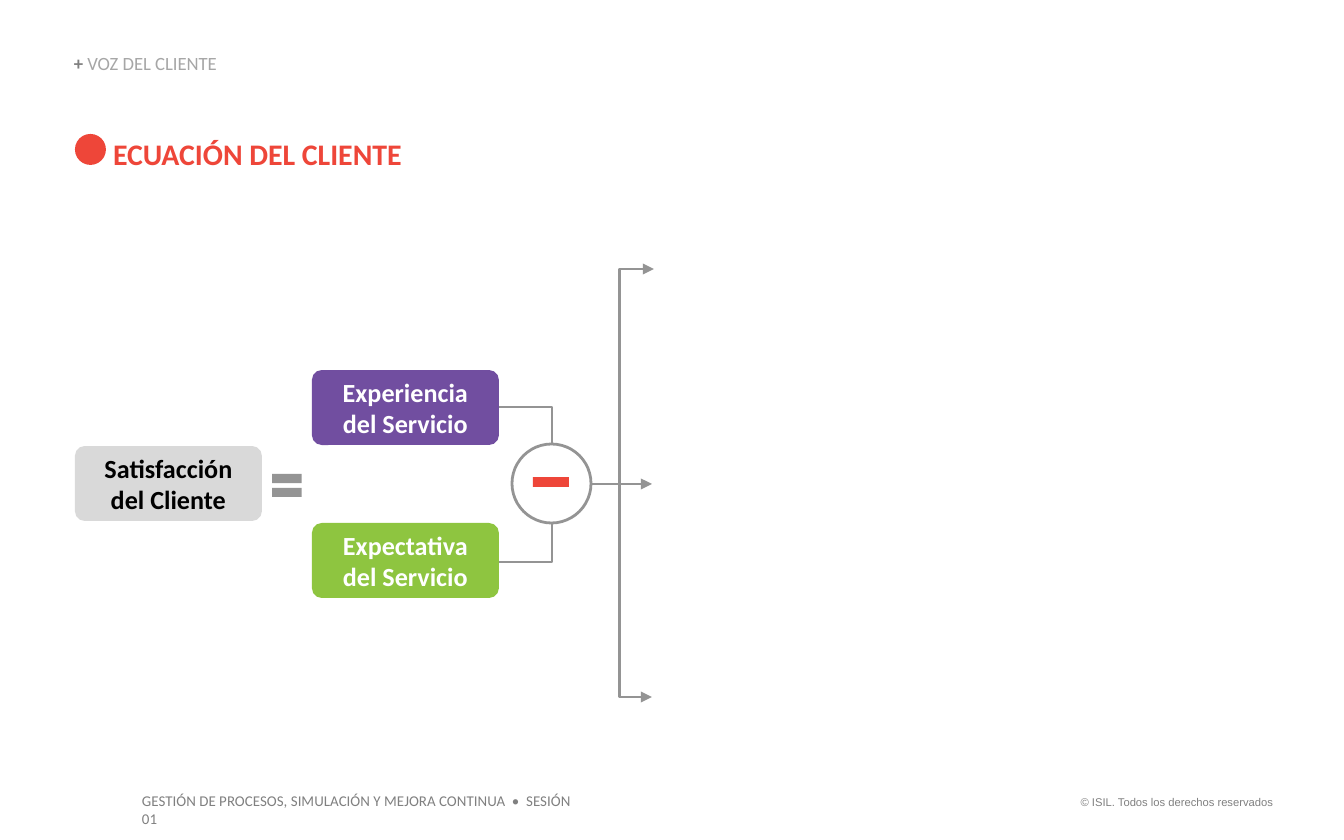
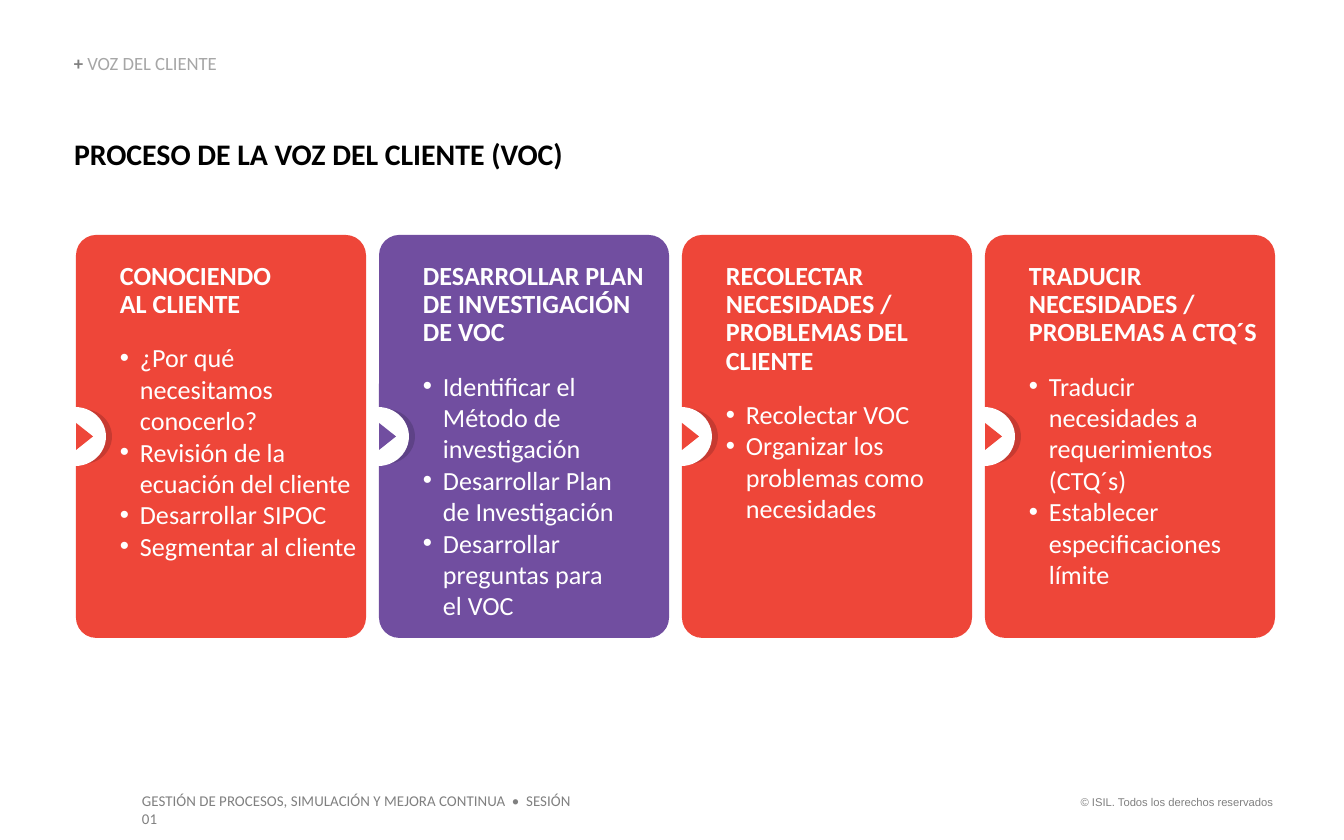
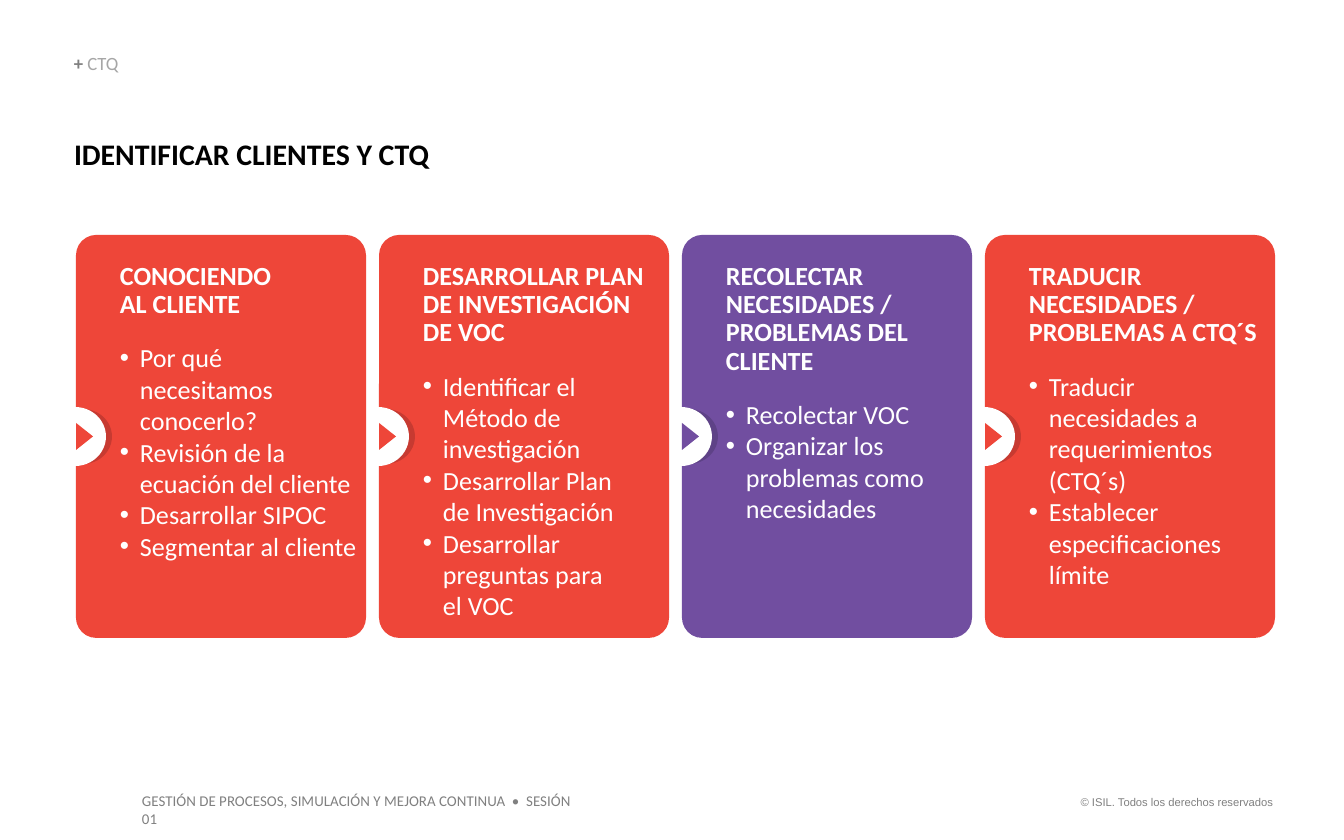
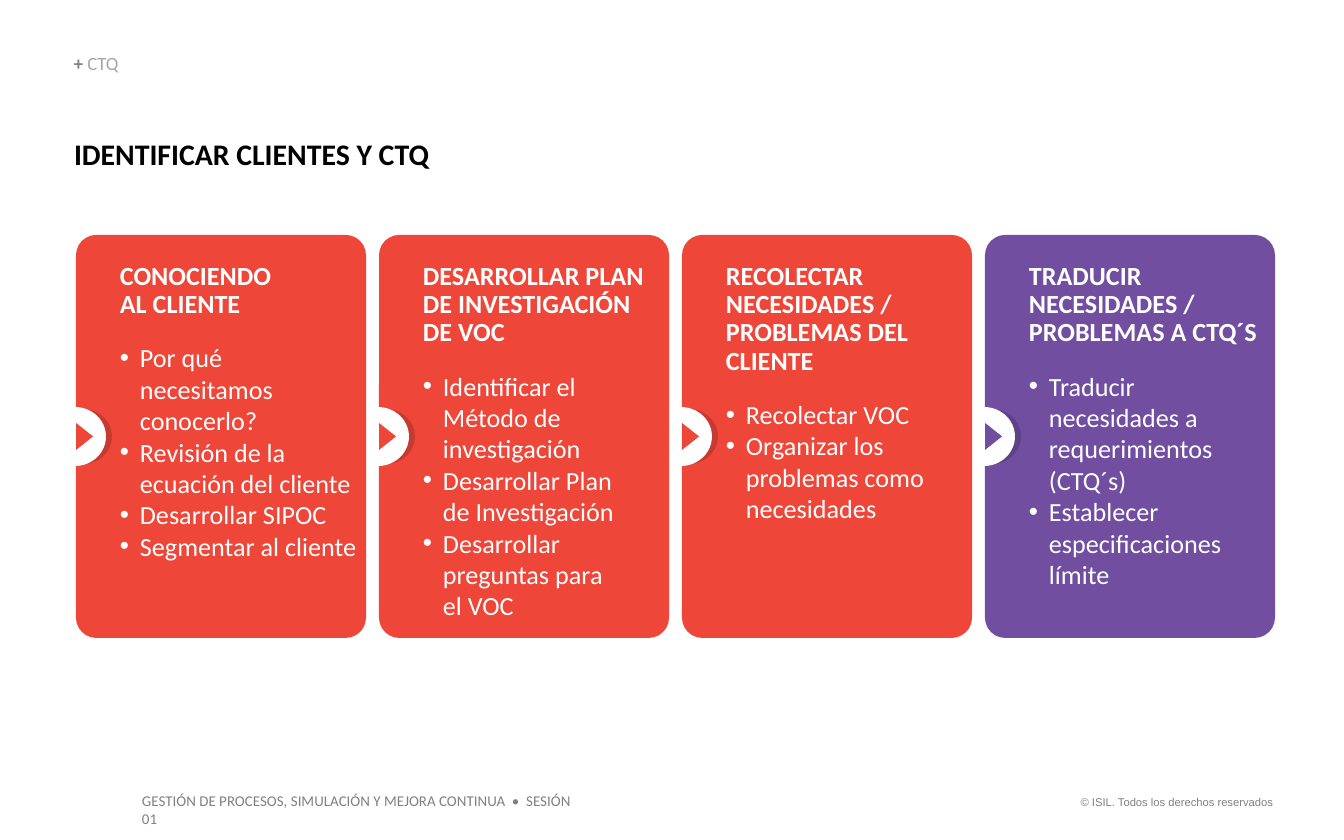
from copy import deepcopy

from lxml import etree
from pptx import Presentation
from pptx.dml.color import RGBColor
from pptx.enum.shapes import MSO_CONNECTOR, MSO_SHAPE
from pptx.enum.text import MSO_ANCHOR, PP_ALIGN
from pptx.oxml.ns import qn
from pptx.util import Pt

ELBOW, STRAIGHT = MSO_CONNECTOR.ELBOW, MSO_CONNECTOR.STRAIGHT
ELLIPSE, RECTANGLE, ROUNDED = MSO_SHAPE.OVAL, MSO_SHAPE.RECTANGLE, MSO_SHAPE.ROUNDED_RECTANGLE
TRIANGLE, EQUAL = MSO_SHAPE.ISOSCELES_TRIANGLE, MSO_SHAPE.MATH_EQUAL
LEFT, CENTER, RIGHT = PP_ALIGN.LEFT, PP_ALIGN.CENTER, PP_ALIGN.RIGHT
TOP, MIDDLE, BOTTOM = MSO_ANCHOR.TOP, MSO_ANCHOR.MIDDLE, MSO_ANCHOR.BOTTOM

RED = RGBColor(0xEE, 0x46, 0x39)
DARK_RED = RGBColor(0xC7, 0x3A, 0x31)
PURPLE = RGBColor(0x71, 0x4E, 0xA0)
DARK_PURPLE = RGBColor(0x5E, 0x42, 0x87)
GREEN = RGBColor(0x8E, 0xC5, 0x40)
LINE_GRAY = RGBColor(0x94, 0x94, 0x94)
BOX_GRAY = RGBColor(0xD9, 0xD9, 0xD9)
TEXT_GRAY = RGBColor(0x80, 0x80, 0x80)
LIGHT_GRAY = RGBColor(0xA6, 0xA6, 0xA6)
BLACK = RGBColor(0, 0, 0)
WHITE = RGBColor(0xFF, 0xFF, 0xFF)

EMU_PER_PX = 914400 / 134.4
NO_INSETS = (0, 0, 0, 0)
BOX_INSETS = (13, 7, 13, 7)
CARD_INSETS = (38, 22, 0, 7)


def add_shape(slide, kind, *place, fill=None, corner=None):
    """Add a preset shape, or a text box if kind is None; place is left, top, width, height in px."""
    place = [round(value * EMU_PER_PX) for value in place]
    if kind is None:
        return slide.shapes.add_textbox(*place)
    shape = slide.shapes.add_shape(kind, *place)
    shape.shadow.inherit = False
    shape.line.fill.background()
    if fill is None:
        shape.fill.background()
    else:
        shape.fill.solid()
        shape.fill.fore_color.rgb = fill
    if corner is not None:
        shape.adjustments[0] = corner
    return shape


def write(shape, text, *, size, color, bold=False, font="Calibri", align=LEFT, anchor=TOP,
          insets=BOX_INSETS, line_spacing=None, space_after=None, bullet=False, same_line=False):
    """Add a paragraph, or with same_line a run that continues the last paragraph."""
    frame = shape.text_frame
    frame.word_wrap = True
    frame.vertical_anchor = anchor
    frame.margin_left, frame.margin_top, frame.margin_right, frame.margin_bottom = [
        round(inset * EMU_PER_PX) for inset in insets]
    paragraph = frame.paragraphs[-1]
    if paragraph.runs and not same_line:
        paragraph = frame.add_paragraph()
    paragraph.alignment = align
    if line_spacing:
        paragraph.line_spacing = line_spacing
    if space_after:
        paragraph.space_after = Pt(space_after)
    if bullet:
        properties = paragraph._p.get_or_add_pPr()
        properties.set("marL", str(round(20 * EMU_PER_PX)))
        properties.set("indent", str(round(-20 * EMU_PER_PX)))
        bullet_color = etree.SubElement(properties, qn("a:buClr"))
        etree.SubElement(bullet_color, qn("a:srgbClr"), val=str(color))
        etree.SubElement(properties, qn("a:buFont"), typeface="Arial")
        etree.SubElement(properties, qn("a:buChar"), char="•")
    for index, line in enumerate(text.split("\n")):
        if index:
            paragraph.add_line_break()
        run = paragraph.add_run()
        run.text = line
        run.font.name = font
        run.font.size = Pt(size)
        run.font.bold = bold
        run.font.color.rgb = color
    for line_break in paragraph._p.findall(qn("a:br")):
        line_break.insert(0, deepcopy(run._r.rPr))


presentation = Presentation()
presentation.slide_width = round(1344 * EMU_PER_PX)
presentation.slide_height = round(840 * EMU_PER_PX)
blank_layout = presentation.slide_layouts[6]
for placeholder in list(blank_layout.placeholders):
    placeholder.element.getparent().remove(placeholder.element)

# Section, title, title colour, title left
HEADINGS = [
    ("VOZ DEL CLIENTE", "ECUACIÓN DEL CLIENTE", RED, 113),
    ("VOZ DEL CLIENTE", "PROCESO DE LA VOZ DEL CLIENTE (VOC)", BLACK, 74),
    ("CTQ", "IDENTIFICAR CLIENTES Y CTQ", BLACK, 74),
    ("CTQ", "IDENTIFICAR CLIENTES Y CTQ", BLACK, 74),
]
slides = []
for section, title, title_color, title_left in HEADINGS:
    slide = presentation.slides.add_slide(blank_layout)
    slides.append(slide)
    section_box = add_shape(slide, None, 74, 55, 358, 20)
    write(section_box, "+ ", size=10, color=TEXT_GRAY, bold=True,
          anchor=BOTTOM, insets=NO_INSETS, line_spacing=0.9)
    write(section_box, section, size=10, color=LIGHT_GRAY,
          anchor=BOTTOM, insets=NO_INSETS, line_spacing=0.9, same_line=True)
    title_box = add_shape(slide, None, title_left, 136, 1000, 36)
    write(title_box, title, size=16, color=title_color, bold=True, insets=NO_INSETS)

# Footers live on the layout, so that every slide shows them
copyright_box = add_shape(slides[0], None, 1059, 789, 227, 27)
write(copyright_box, "© ISIL. Todos los derechos reservados",
      size=6, color=TEXT_GRAY, font="Arial", align=RIGHT)
course_box = add_shape(slides[0], None, 129, 785, 474, 32)
write(course_box, "GESTIÓN DE PROCESOS, SIMULACIÓN Y MEJORA CONTINUA  •  SESIÓN 01",
      size=8, color=TEXT_GRAY)
for footer in (copyright_box, course_box):
    blank_layout.shapes.element.append(footer.element)

# Customer equation
equation_slide = slides[0]
add_shape(equation_slide, ELLIPSE, 75, 134, 31, 31, fill=RED)
add_shape(equation_slide, EQUAL, 267, 466, 40, 39, fill=LINE_GRAY)
minus_circle = add_shape(equation_slide, ELLIPSE, 512, 444, 79, 79)
minus_circle.line.color.rgb = LINE_GRAY
minus_circle.line.width = Pt(1.5)
add_shape(equation_slide, RECTANGLE, 533, 477, 36, 10, fill=RED)

# Kind, ends, place of the bend as a share of the width, arrowheads
CONNECTORS = [
    (ELBOW, (499, 407, 552, 444), 1, ()),
    (ELBOW, (499, 562, 552, 523), 1, ()),
    (ELBOW, (654, 269, 652, 697), 17, ("a:headEnd", "a:tailEnd")),
    (STRAIGHT, (591, 484, 652, 484), None, ("a:tailEnd",)),
]
for kind, ends, bend, arrowheads in CONNECTORS:
    connector = equation_slide.shapes.add_connector(
        kind, *[round(value * EMU_PER_PX) for value in ends])
    connector.line.color.rgb = LINE_GRAY
    connector.line.width = Pt(1.5)
    if bend is not None:
        guides = connector.element.spPr.find(qn("a:prstGeom")).get_or_add_avLst()
        etree.SubElement(guides, qn("a:gd"), name="adj1", fmla=f"val {bend * 100000}")
    for arrowhead in arrowheads:
        etree.SubElement(connector.line._get_or_add_ln(), qn(arrowhead), type="triangle")
    etree.SubElement(connector.element.spPr, qn("a:effectLst"))

TERMS = [
    ("Experiencia del Servicio", 312, 370, PURPLE, WHITE),
    ("Expectativa del Servicio", 312, 523, GREEN, WHITE),
    ("Satisfacción del Cliente", 75, 446, BOX_GRAY, BLACK),
]
for term, left, top, fill, color in TERMS:
    term_box = add_shape(equation_slide, ROUNDED, left, top, 187, 75, fill=fill, corner=0.13)
    write(term_box, term, size=14, color=color, bold=True, align=CENTER, anchor=MIDDLE)

# Process cards
STEPS = [
    ("CONOCIENDO\nAL CLIENTE",
     ["Por qué necesitamos conocerlo?", "Revisión de la ecuación del cliente",
      "Desarrollar SIPOC", "Segmentar al cliente"]),
    ("DESARROLLAR PLAN DE INVESTIGACIÓN DE VOC",
     ["Identificar el Método de investigación", "Desarrollar Plan\nde Investigación",
      "Desarrollar preguntas para\nel VOC"]),
    ("RECOLECTAR NECESIDADES / PROBLEMAS DEL CLIENTE",
     ["Recolectar VOC", "Organizar los problemas como necesidades"]),
    ("TRADUCIR NECESIDADES / PROBLEMAS A CTQ´S",
     ["Traducir necesidades a requerimientos (CTQ´s)",
      "Establecer especificaciones\nlímite"]),
]
# Each card overlaps the marker of the next one, so the last is drawn first
for current_step, slide in enumerate(slides[1:], start=1):
    for step in reversed(range(len(STEPS))):
        heading, tasks = STEPS[step]
        left = 76 + 303 * step
        fill, shade = (PURPLE, DARK_PURPLE) if step == current_step else (RED, DARK_RED)
        card = add_shape(slide, ROUNDED, left, 235, 290, 403, fill=fill, corner=0.07)
        write(card, heading, size=14, color=WHITE, bold=True,
              insets=CARD_INSETS, line_spacing=0.9, space_after=12)
        for task in tasks:
            if slide is slides[1] and task.startswith("Por qué"):
                task = "¿" + task
            write(card, task, size=14, color=WHITE, insets=CARD_INSETS, bullet=True)
        add_shape(slide, ELLIPSE, left - 22, 409, 58, 55, fill=shade)
        add_shape(slide, ELLIPSE, left - 32, 407, 62, 59, fill=WHITE)
        pointer = add_shape(slide, TRIANGLE, left - 5, 428, 27, 17, fill=fill)
        pointer.rotation = 90

presentation.save("out.pptx")
